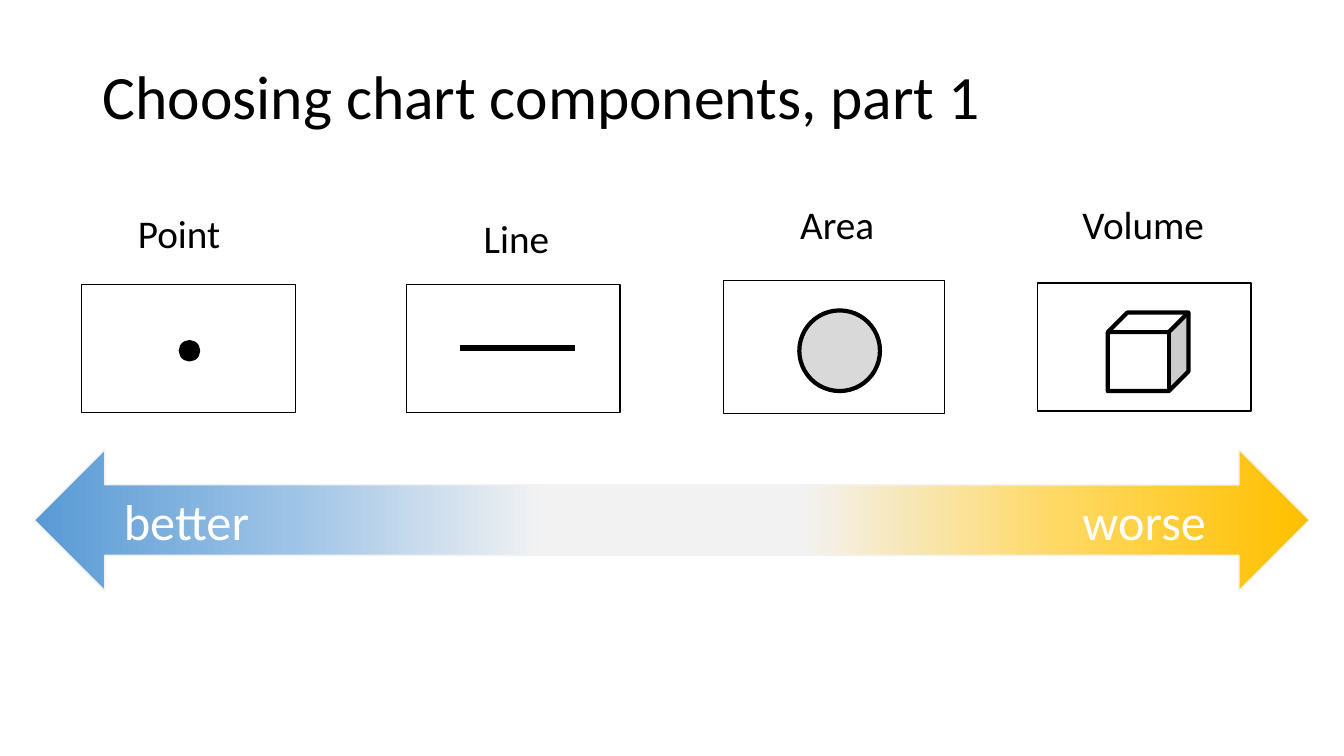
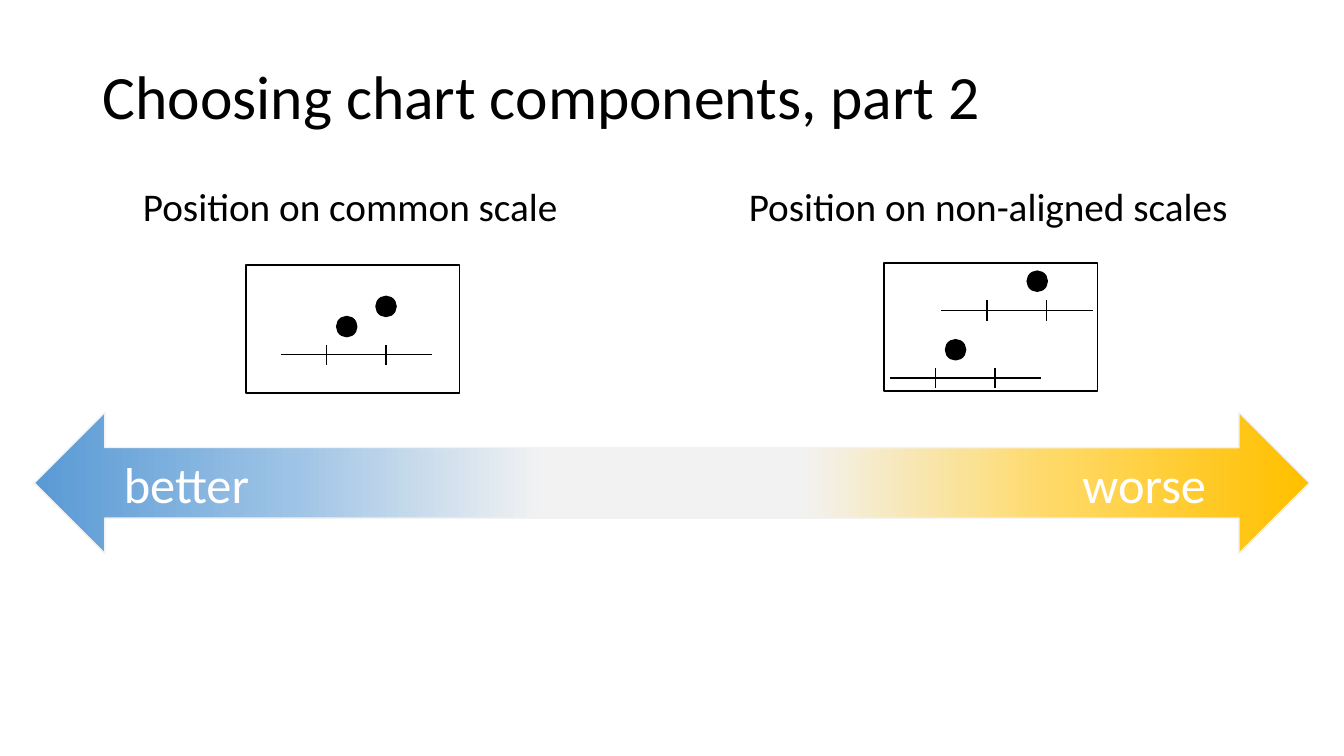
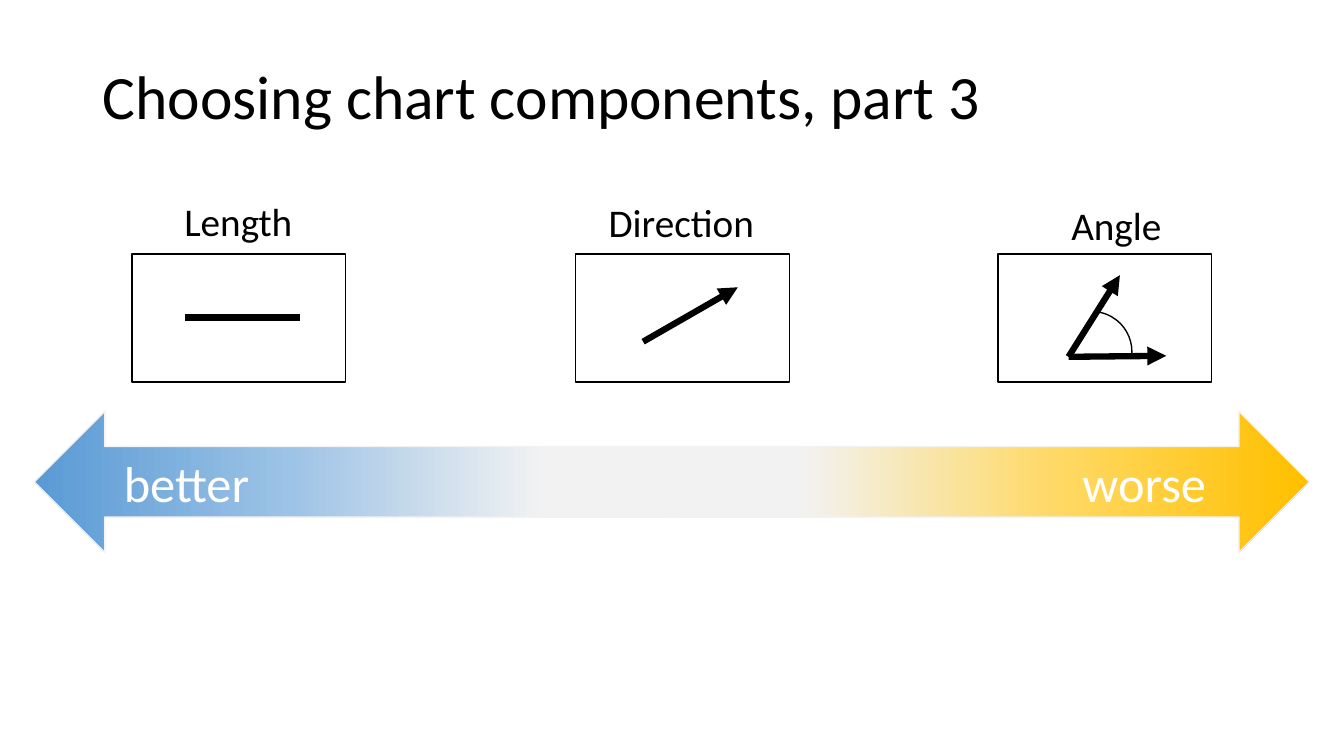
from pptx import Presentation
from pptx.dml.color import RGBColor
from pptx.enum.shapes import MSO_CONNECTOR, MSO_SHAPE
from pptx.enum.text import MSO_ANCHOR, MSO_AUTO_SIZE
from pptx.oxml.ns import qn
from pptx.util import Inches, Pt
from lxml import etree

# Enum members
RECTANGLE, ELLIPSE, CUBE = MSO_SHAPE.RECTANGLE, MSO_SHAPE.OVAL, MSO_SHAPE.CUBE
ARC, LEFT_ARROW = MSO_SHAPE.ARC, MSO_SHAPE.LEFT_ARROW
STRAIGHT = MSO_CONNECTOR.STRAIGHT
TOP, MIDDLE = MSO_ANCHOR.TOP, MSO_ANCHOR.MIDDLE
GROW, FIXED = MSO_AUTO_SIZE.SHAPE_TO_FIT_TEXT, MSO_AUTO_SIZE.NONE

# Colours
BLACK = RGBColor(0x00, 0x00, 0x00)
WHITE = RGBColor(0xFF, 0xFF, 0xFF)
GREY = RGBColor(0xD9, 0xD9, 0xD9)
PALE = RGBColor(0xF2, 0xF2, 0xF2)
LIGHT_BLUE = RGBColor(0x9D, 0xC3, 0xE6)
BLUE = RGBColor(0x5B, 0x9B, 0xD5)
LIGHT_GOLD = RGBColor(0xFF, 0xD9, 0x66)
GOLD = RGBColor(0xFF, 0xC0, 0x00)

# Text styles: font values and frame values
FONT = "Calibri"
TITLE = ({"size": Pt(44)},
         {"vertical_anchor": MIDDLE, "word_wrap": True, "auto_size": FIXED})
LABEL = ({"size": Pt(28)},
         {"vertical_anchor": TOP, "word_wrap": False, "auto_size": GROW})
VERDICT = ({"size": Pt(36)},
           {"vertical_anchor": MIDDLE, "word_wrap": False, "auto_size": GROW})

# Grid: every length below counts cells of a tenth of an inch
CELL = Inches(0.1)
SLIDE_COLUMNS, SLIDE_ROWS = 133.33, 75
PANEL_SIZE = (21.2, 12.7)
DOT = 2
THIN, MEDIUM, THICK = 1, 3, 4.5


def cells(*counts):
    return [round(count * CELL) for count in counts]


def set_values(target, values):
    for name, value in values.items():
        setattr(target, name, value)


# Basic elements
def add_text(shapes, text, box, style, color=BLACK, spacing=None):
    font_values, frame_values = style
    frame = shapes.add_textbox(*cells(*box)).text_frame
    set_values(frame, frame_values)
    paragraph = frame.paragraphs[0]
    paragraph.line_spacing = spacing
    run = paragraph.add_run()
    run.text = text
    set_values(run.font, {"name": FONT, **font_values})
    run.font.color.rgb = color


def add_figure(shapes, kind, box, fill=None, line=BLACK, width=THIN):
    shape = shapes.add_shape(kind, *cells(*box))
    shape.shadow.inherit = False
    if fill is None:
        shape.fill.background()
    else:
        shape.fill.solid()
        shape.fill.fore_color.rgb = fill
    shape.line.color.rgb = line
    shape.line.width = Pt(width)
    return shape


def add_line(shapes, start, end, width=THIN, arrow=False):
    connector = shapes.add_connector(STRAIGHT, *cells(*start, *end))
    connector.line.color.rgb = BLACK
    connector.line.width = Pt(width)
    properties = connector._element.spPr
    if arrow:
        etree.SubElement(properties.find(qn("a:ln")), qn("a:tailEnd"), type="triangle")
    etree.SubElement(properties, qn("a:effectLst"))


def set_gradient(shape, stops):
    shape.fill.gradient()
    shape.fill.gradient_angle = 180
    stop_list = shape._element.spPr.find(qn("a:gradFill")).find(qn("a:gsLst"))
    for stop in list(stop_list):
        stop_list.remove(stop)
    for percent, color in stops:
        stop = etree.SubElement(stop_list, qn("a:gs"), pos=str(percent * 1000))
        etree.SubElement(stop, qn("a:srgbClr"), val=str(color))


# Icons, placed from the panel's corner (x, y)
def add_dot(shapes, x, y):
    add_figure(shapes, ELLIPSE, (x, y, DOT, DOT), BLACK)


def add_scale(shapes, x, y):
    add_line(shapes, (x, y), (x + 15, y))
    for tick in (x + 4.5, x + 10.4):
        add_line(shapes, (tick, y + 1), (tick, y - 1))


def draw_point(shapes, x, y):
    add_dot(shapes, x + 9.7, y + 5.6)


def draw_line(shapes, x, y):
    add_line(shapes, (x + 5.3, y + 6.3), (x + 16.7, y + 6.3), THICK)


def draw_area(shapes, x, y):
    add_figure(shapes, ELLIPSE, (x + 7.5, y + 3, 8, 8), GREY, width=MEDIUM)


def draw_volume(shapes, x, y):
    add_figure(shapes, CUBE, (x + 7, y + 2.9, 8, 7.8), WHITE, width=MEDIUM)


def draw_common_scale(shapes, x, y):
    add_scale(shapes, x + 3.5, y + 8.9)
    add_dot(shapes, x + 9, y + 5.1)
    add_dot(shapes, x + 12.9, y + 3.1)


def draw_non_aligned_scales(shapes, x, y):
    add_scale(shapes, x + 0.6, y + 11.4)
    add_scale(shapes, x + 5.7, y + 4.7)
    add_dot(shapes, x + 6.1, y + 7.6)
    add_dot(shapes, x + 14.2, y + 0.8)


def draw_direction(shapes, x, y):
    add_line(shapes, (x + 6.7, y + 8.7), (x + 16.1, y + 3.3), THICK, arrow=True)


def draw_angle(shapes, x, y):
    corner = (x + 7, y + 10.2)
    for tip in ((x + 12.1, y + 2.1), (x + 16.7, y + 10.1)):
        add_line(shapes, corner, tip, THICK, arrow=True)
    arc = add_figure(shapes, ARC, (x + 5.3, y + 5.7, 8, 8))
    arc.adjustments[0], arc.adjustments[1] = 166.68, 1.25


# Parts of a slide
def add_panel(slide, label, label_box, corner, draw_icon, size=PANEL_SIZE):
    shapes = slide.shapes.add_group_shape().shapes
    add_figure(shapes, RECTANGLE, (*corner, *size), WHITE)
    draw_icon(shapes, *corner)
    add_text(shapes, label, (*label_box, 5.7), LABEL)


def add_rating_arrow(slide, top):
    shapes = slide.shapes.add_group_shape().shapes
    halves = (
        (3.4, 0, LIGHT_BLUE, BLUE),
        (66.7, 180, LIGHT_GOLD, GOLD),
    )
    for left, rotation, light, strong in halves:
        half = add_figure(shapes, LEFT_ARROW, (left, top, 63.2, 14), PALE, PALE)
        half.rotation = rotation
        set_gradient(half, ((0, PALE), (20, PALE), (60, light), (99, strong)))
    for text, left, width in (("better", 11.3, 14.6), ("worse", 106.4, 14.4)):
        add_text(shapes, text, (left, top + 3.45, width, 7.1), VERDICT, WHITE)


def add_component_slide(presentation, part, panels, arrow_top):
    slide = presentation.slides.add_slide(presentation.slide_layouts[6])
    add_text(slide.shapes, f"Choosing chart components, part {part}",
             (9.2, 2.6, 115, 14.5), TITLE, spacing=0.9)
    for panel in panels:
        add_panel(slide, *panel)
    add_rating_arrow(slide, arrow_top)


# Content: panels as label, label left/top/width, corner, icon and optional size
SLIDES = (
    ((
        ("Point", (12.7, 20.3, 10.3), (8.1, 28.2), draw_point),
        ("Line", (47, 20.8, 8.6), (40.3, 28.2), draw_line),
        ("Area", (78.4, 19.4, 9.4), (71.8, 27.8), draw_area, (21.9, 13.2)),
        ("Volume", (106.4, 19.4, 14.2), (102.9, 28.1), draw_volume),
    ), 44.6),
    ((
        ("Position on common scale", (13.2, 17.6, 43.7), (24.4, 26.3),
         draw_common_scale),
        ("Position on non-aligned scales", (73.3, 17.6, 50.1), (87.7, 26.1),
         draw_non_aligned_scales),
    ), 40.9),
    ((
        ("Length", (17.3, 19.1, 12.8), (13.1, 25.2), draw_line),
        ("Direction", (59.4, 19.2, 16.6), (57.1, 25.2), draw_direction),
        ("Angle", (105.3, 19.5, 11), (99, 25.2), draw_angle),
    ), 40.8),
)


def main():
    presentation = Presentation()
    width, height = cells(SLIDE_COLUMNS, SLIDE_ROWS)
    set_values(presentation, {"slide_width": width, "slide_height": height})
    for part, (panels, arrow_top) in enumerate(SLIDES, start=1):
        add_component_slide(presentation, part, panels, arrow_top)
    presentation.save("out.pptx")


main()
